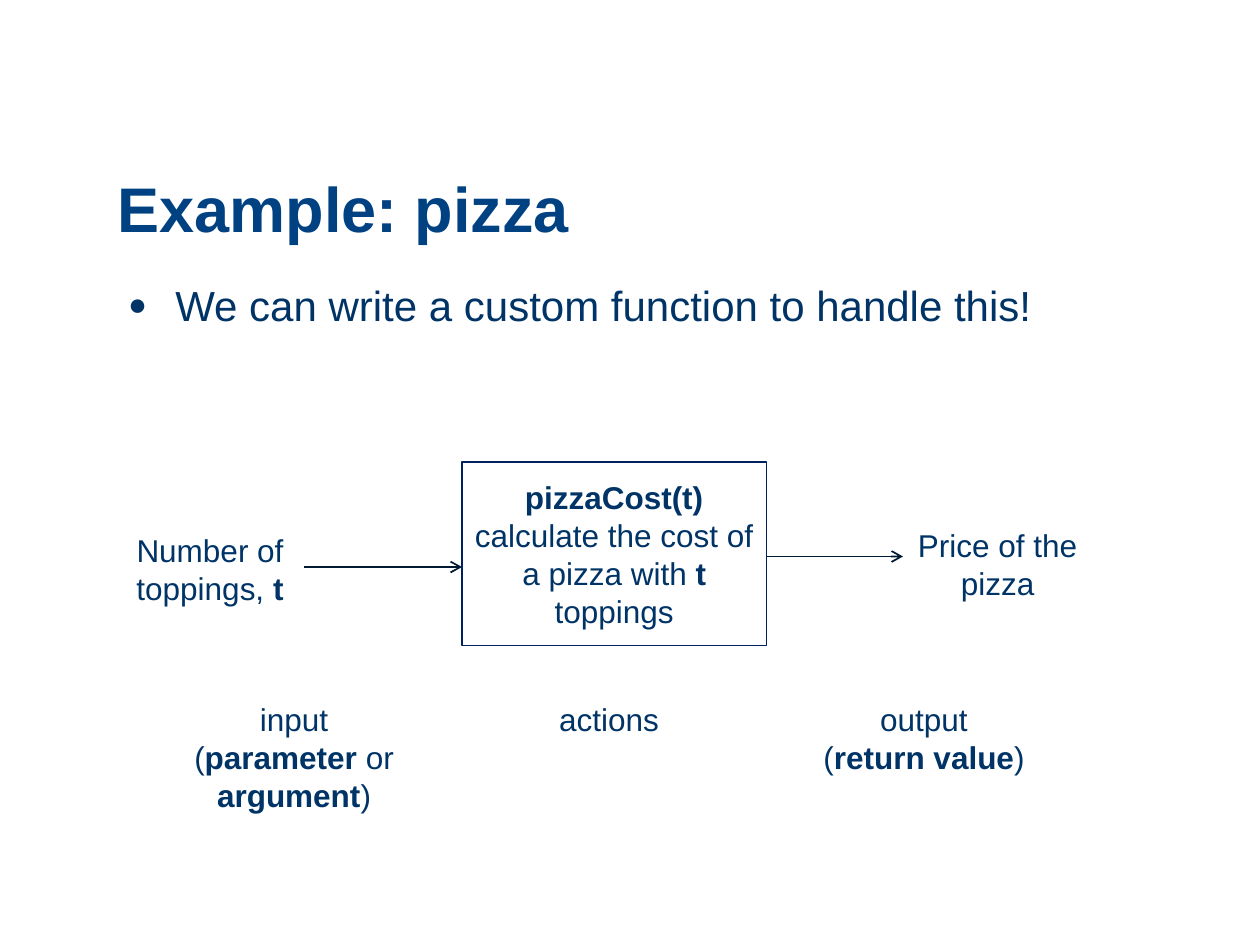
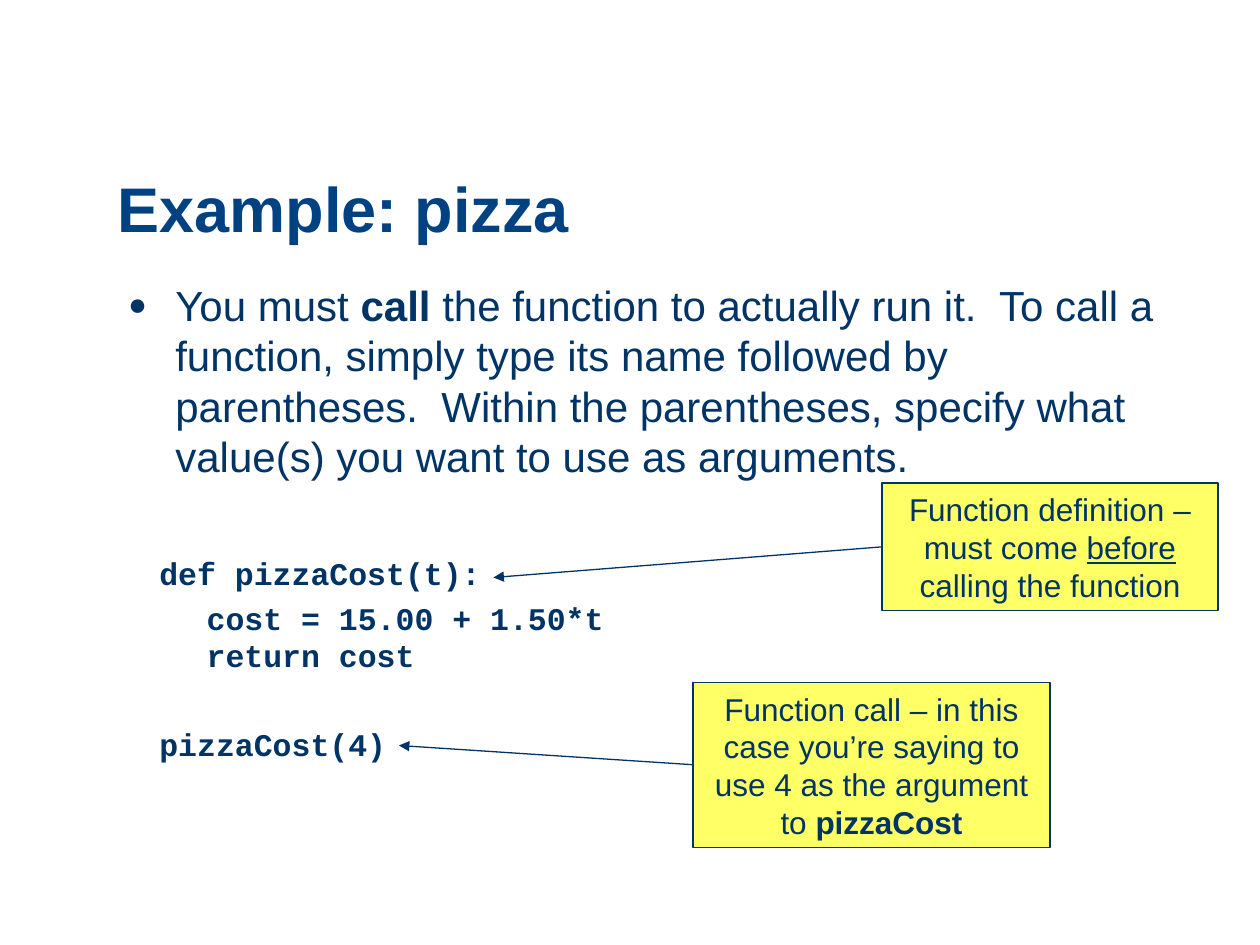
"""Two slides on writing and calling a custom function."""
from pptx import Presentation
from pptx.dml.color import RGBColor
from pptx.enum import shapes, text
from pptx.oxml.ns import qn
from pptx.util import Pt
from lxml import etree

NAVY, TITLE_BLUE = "003366", "004182"
FRAME_BLUE, ARROW_BLUE = "002060", "001933"
YELLOW = "FFFF66"
SANS, MONO = "Arial", "Courier New"
BODY_SIZE, LABEL_SIZE = 24, 18
INDENT = 27
CODE_GAP = 3.6
CODE_LINE = 25.2  # one code line with its gap


def rgb(value):
    """Turn a hex string into a colour."""
    return RGBColor.from_string(value)


def child(parent, tag, **attrs):
    """Append a DrawingML element to parent."""
    return etree.SubElement(parent, qn(tag), attrs)


def place(sp, left, top, width, height):
    """Set position and size in points."""
    sp.left, sp.top, sp.width, sp.height = map(Pt, (left, top, width, height))


def add_runs(p, runs, size=LABEL_SIZE, font=SANS, color=NAVY):
    """Add (text, style) runs; style holds b for bold, u for underline."""
    for content, style in runs:
        if content == "\n":
            p.add_line_break()
            continue
        r = p.add_run()
        r.text = content
        r.font.name, r.font.size = font, Pt(size)
        r.font.bold = "b" in style
        r.font.underline = "u" in style
        r.font.color.rgb = rgb(color)


def fill_centred(tf, paragraphs):
    """Write centred paragraphs into a wrapping text frame."""
    tf.word_wrap = True
    for i, runs in enumerate(paragraphs):
        p = tf.add_paragraph() if i else tf.paragraphs[0]
        p.alignment = text.PP_ALIGN.CENTER
        add_runs(p, runs)


def add_slide(prs, title, bullet, body_height):
    """Add a slide with its title and one bullet."""
    s = prs.slides.add_slide(prs.slide_layouts[1])
    sp = s.shapes.title
    place(sp, 60, 78, 624, 66)
    tf = sp.text_frame
    tf.auto_size = text.MSO_AUTO_SIZE.NONE
    tf.vertical_anchor = text.MSO_ANCHOR.BOTTOM
    p = tf.paragraphs[0]
    p.alignment, p.line_spacing = text.PP_ALIGN.LEFT, 0.9
    add_runs(p, [(title, "b")], 36, color=TITLE_BLUE)

    sp = s.placeholders[1]
    place(sp, 66, 156, 606, body_height)
    tf = sp.text_frame
    tf.auto_size = text.MSO_AUTO_SIZE.NONE
    p = tf.paragraphs[0]
    add_runs(p, bullet, BODY_SIZE)
    pPr = p._p.get_or_add_pPr()
    pPr.set("marL", str(Pt(INDENT)))
    pPr.set("indent", str(-Pt(INDENT)))
    child(child(pPr, "a:buClr"), "a:srgbClr", val=NAVY)
    child(pPr, "a:buSzPct", val="75000")
    child(pPr, "a:buFont", typeface=SANS)
    child(pPr, "a:buChar", char="●")
    return s


def add_label(s, box, paragraphs):
    """Add a centred text box."""
    sp = s.shapes.add_textbox(*map(Pt, box))
    fill_centred(sp.text_frame, paragraphs)
    sp.text_frame.auto_size = text.MSO_AUTO_SIZE.SHAPE_TO_FIT_TEXT


def add_box(s, box, runs, line, fill=None):
    """Add an outlined rectangle with centred text."""
    sp = s.shapes.add_shape(shapes.MSO_SHAPE.RECTANGLE, *map(Pt, box))
    sp.shadow.inherit = False
    if fill:
        sp.fill.solid()
        sp.fill.fore_color.rgb = rgb(fill)
    else:
        sp.fill.background()
    sp.line.color.rgb, sp.line.width = rgb(line), Pt(0.75)
    sp.text_frame.vertical_anchor = text.MSO_ANCHOR.MIDDLE
    fill_centred(sp.text_frame, [runs])


def add_arrow(s, start, end, head, color=NAVY, width=0.75):
    """Add a straight arrow from start to end."""
    c = s.shapes.add_connector(shapes.MSO_CONNECTOR.STRAIGHT,
                               *map(Pt, start + end))
    c.line.color.rgb, c.line.width = rgb(color), Pt(width)
    child(c.line._get_or_add_ln(), "a:tailEnd", type=head)
    child(c._element.spPr, "a:effectLst")


def add_code(s, box, lines):
    """Add code from (runs, left indent, space before) paragraphs."""
    tf = s.shapes.add_textbox(*map(Pt, box)).text_frame
    tf.word_wrap = True
    tf.margin_top = Pt(CODE_GAP + CODE_LINE)
    for i, (runs, indent, gap) in enumerate(lines):
        p = tf.add_paragraph() if i else tf.paragraphs[0]
        p.space_before = Pt(gap)
        p._p.get_or_add_pPr().set("marL", str(Pt(indent)))
        add_runs(p, runs, font=MONO)


def build_diagram(prs):
    """Show the function as input, actions and output."""
    s = add_slide(prs, "Example: pizza",
                  [("We can write a custom function to handle this!", "")], 323)
    add_arrow(s, (174, 324), (264, 324), "arrow", ARROW_BLUE, 1)
    add_arrow(s, (438, 318), (516, 318), "arrow", ARROW_BLUE, 1)
    add_label(s, (42, 300, 156, 51), [[("Number of toppings, ", ""), ("t", "b")]])
    add_label(s, (510, 297, 120, 51), [[("Price of the pizza", "")]])
    captions = [
        [[("input", "")], [("(", ""), ("parameter ", "b"), ("or ", ""),
                           ("argument", "b"), (")", "")]],
        [[("actions", "")]],
        [[("output", "")], [("(", ""), ("return value", "b"), (")", "")]],
    ]
    for i, (caption, height) in enumerate(zip(captions, (73, 29, 51))):
        add_label(s, (90 + 180 * i, 396.5, 156, height), caption)
    add_box(s, (264, 264, 174, 105),
            [("pizzaCost(t)", "b"), ("\n", ""),
             ("calculate the cost of a pizza with ", ""), ("t", "b"),
             (" toppings", "")], FRAME_BLUE)


def build_call(prs):
    """Show the code with notes on its definition and call."""
    s = add_slide(prs, "Example: pizza", [
        ("You must ", ""), ("call", "b"),
        (" the function to actually run it.  To call a function, simply type "
         "its name followed by parentheses.  Within the parentheses, specify "
         "what value(s) you want to use as arguments.", "")], 138)
    add_code(s, (84, 288, 534, 228), [
        ([("def pizzaCost(t):", "b")], 0, 0),
        ([("cost = 15.00 + 1.50*t", "b"), ("\n", ""), ("return cost", "b")],
         INDENT, CODE_GAP),
        ([("pizzaCost(4)", "b")], 0, CODE_GAP + CODE_LINE)])
    add_box(s, (504, 276, 192, 73),
            [("Function definition – must come ", ""), ("before", "u"),
             (" calling the function", "")], NAVY, YELLOW)
    add_arrow(s, (504, 312.5), (282, 330), "triangle")
    add_box(s, (396, 390, 204, 94.5),
            [("Function call – in this case you’re saying to use 4 as the "
              "argument to ", ""), ("pizzaCost", "b")], NAVY, YELLOW)
    add_arrow(s, (396, 437), (228, 426), "triangle")


def main():
    """Build and save the presentation."""
    prs = Presentation()
    prs.slide_width, prs.slide_height = Pt(720), Pt(540)
    build_diagram(prs)
    build_call(prs)
    prs.save("out.pptx")


main()
